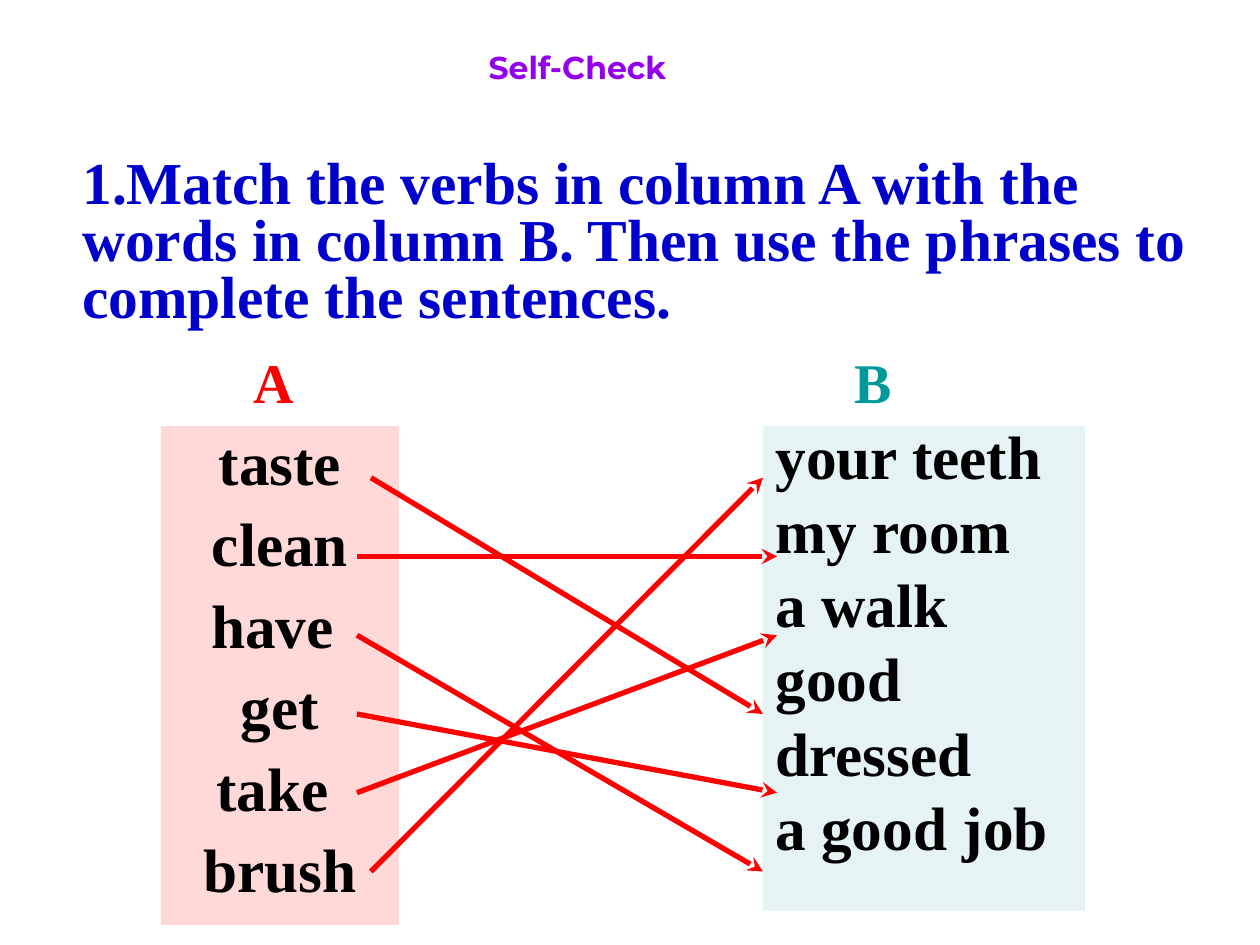
from collections import namedtuple
from dataclasses import dataclass

from pptx import Presentation
from pptx.dml.color import RGBColor
from pptx.enum.shapes import MSO_CONNECTOR, MSO_SHAPE
from pptx.enum.text import MSO_ANCHOR as Anchor, PP_ALIGN as Align
from pptx.oxml.ns import qn
from pptx.util import Pt
from lxml.etree import SubElement

Box = namedtuple("Box", "left top width height")
Match = namedtuple("Match", "verb_row phrase_row")


@dataclass(frozen=True)
class Theme:
    """Colours, fonts and type sizes of the slide."""
    serif: str = "Times New Roman"
    sans: str = "Montserrat"
    label: str = "9400ED"
    task: str = "0000CC"
    red: str = "FF0000"
    teal: str = "009999"
    ink: str = "000000"
    pink_fill: str = "FF9999"
    teal_fill: str = "BBE0E3"
    fill_alpha: int = 38
    label_size: float = 18
    task_size: float = 34
    letter_size: float = 32
    word_size: float = 35
    arrow_width: float = 3


THEME = Theme()
VERBS = ["taste", "clean", "have ", "get", "take ", "brush"]
PHRASES = ["your teeth", "my room", "a walk", "good", "dressed", "a good job"]
MATCHES = [Match(0, 3), Match(1, 1), Match(2, 5), Match(3, 4), Match(4, 2), Match(5, 0)]
VERB_BOX = Box(92, 243.5, 136, 285)
PHRASE_BOX = Box(436, 243.5, 184, 277)


def add_run(paragraph, text, size, color, font=THEME.serif):
    """Append one bold run to a paragraph."""
    run = paragraph.add_run()
    run.text = text
    run.font.name = font
    run.font.size = Pt(size)
    run.font.bold = True
    run.font.color.rgb = RGBColor.from_string(color)


def add_text_frame(slide, box, wrap=True, anchor=Anchor.TOP):
    """Add a text box and return its frame."""
    frame = slide.shapes.add_textbox(*map(Pt, box)).text_frame
    frame.word_wrap = wrap
    frame.vertical_anchor = anchor
    return frame


def add_label(slide, box):
    """Place the section label, centred in its box."""
    paragraph = add_text_frame(slide, box, wrap=False).paragraphs[0]
    paragraph.alignment = Align.CENTER
    add_run(paragraph, "Self-Check", THEME.label_size, THEME.label, THEME.sans)


def add_task(slide, box):
    """Place the task text."""
    paragraph = add_text_frame(slide, box, anchor=Anchor.MIDDLE).paragraphs[0]
    paragraph.line_spacing = 0.8
    add_run(paragraph, "1.Match the verbs in column A with the words in column B. "
            "Then use the phrases to complete the sentences.", THEME.task_size, THEME.task)


def add_column_letters(slide, box, inset, gap):
    """Place the two column letters on one line, set apart by a tab stop."""
    frame = add_text_frame(slide, box, anchor=Anchor.MIDDLE)
    frame.margin_left = Pt(inset)
    paragraph = frame.paragraphs[0]
    tabs = SubElement(paragraph._p.get_or_add_pPr(), qn("a:tabLst"))
    SubElement(tabs, qn("a:tab"), pos=str(Pt(gap)), algn="l")
    add_run(paragraph, "A\t", THEME.letter_size, THEME.red)
    add_run(paragraph, "B", THEME.letter_size, THEME.teal)


def add_column(slide, box, words, fill, align, line_spacing):
    """Place a tinted panel with one word or phrase per paragraph."""
    panel = slide.shapes.add_shape(MSO_SHAPE.RECTANGLE, *map(Pt, box))
    panel.shadow.inherit = False
    panel.line.fill.background()
    panel.fill.solid()
    panel.fill.fore_color.rgb = RGBColor.from_string(fill)
    tint = panel._element.spPr.find(qn("a:solidFill"))[0]
    SubElement(tint, qn("a:alpha"), val=str(THEME.fill_alpha * 1000))
    frame = panel.text_frame
    frame.word_wrap = True
    frame.vertical_anchor = Anchor.TOP
    for row, word in enumerate(words):
        paragraph = frame.add_paragraph() if row else frame.paragraphs[0]
        paragraph.alignment = align
        paragraph.line_spacing = line_spacing
        paragraph.space_before = Pt(8.8)
        properties = paragraph._p.get_or_add_pPr()
        properties.set("marL", str(Pt(27)))
        properties.set("indent", str(-Pt(27)))
        add_run(paragraph, word, THEME.word_size, THEME.ink)


def add_arrows(slide, verb_box, phrase_box, matches):
    """Join each verb to its phrase with an arrow."""
    def row_y(row):
        return verb_box.top + 29.5 + 45 * row

    for match in matches:
        start_x = verb_box.left + verb_box.width - (16 if match.verb_row in (0, 5) else 24)
        end_x = phrase_box.left + (0 if match.phrase_row in (0, 3, 5) else 8)
        ends = (start_x, row_y(match.verb_row), end_x, row_y(match.phrase_row))
        arrow = slide.shapes.add_connector(MSO_CONNECTOR.STRAIGHT, *map(Pt, ends))
        arrow.line.width = Pt(THEME.arrow_width)
        arrow.line.color.rgb = RGBColor.from_string(THEME.red)
        SubElement(arrow.line._get_or_add_ln(), qn("a:tailEnd"), type="stealth")
        SubElement(arrow._element.spPr, qn("a:effectLst"))


def main():
    """Build and save the matching exercise."""
    deck = Presentation()
    deck.slide_width, deck.slide_height = Pt(720), Pt(540)
    slide = deck.slides.add_slide(deck.slide_layouts[6])
    add_task(slide, Box(40, 87, 668, 105))
    add_column(slide, VERB_BOX, VERBS, THEME.pink_fill, Align.CENTER, 0.9)
    add_column(slide, PHRASE_BOX, PHRASES, THEME.teal_fill, Align.LEFT, 0.8)
    add_arrows(slide, VERB_BOX, PHRASE_BOX, MATCHES)
    add_column_letters(slide, Box(132, 195, 444, 46), inset=13, gap=343)
    add_label(slide, Box(224, 24, 212, 51))
    deck.save("out.pptx")


if __name__ == "__main__":
    main()
